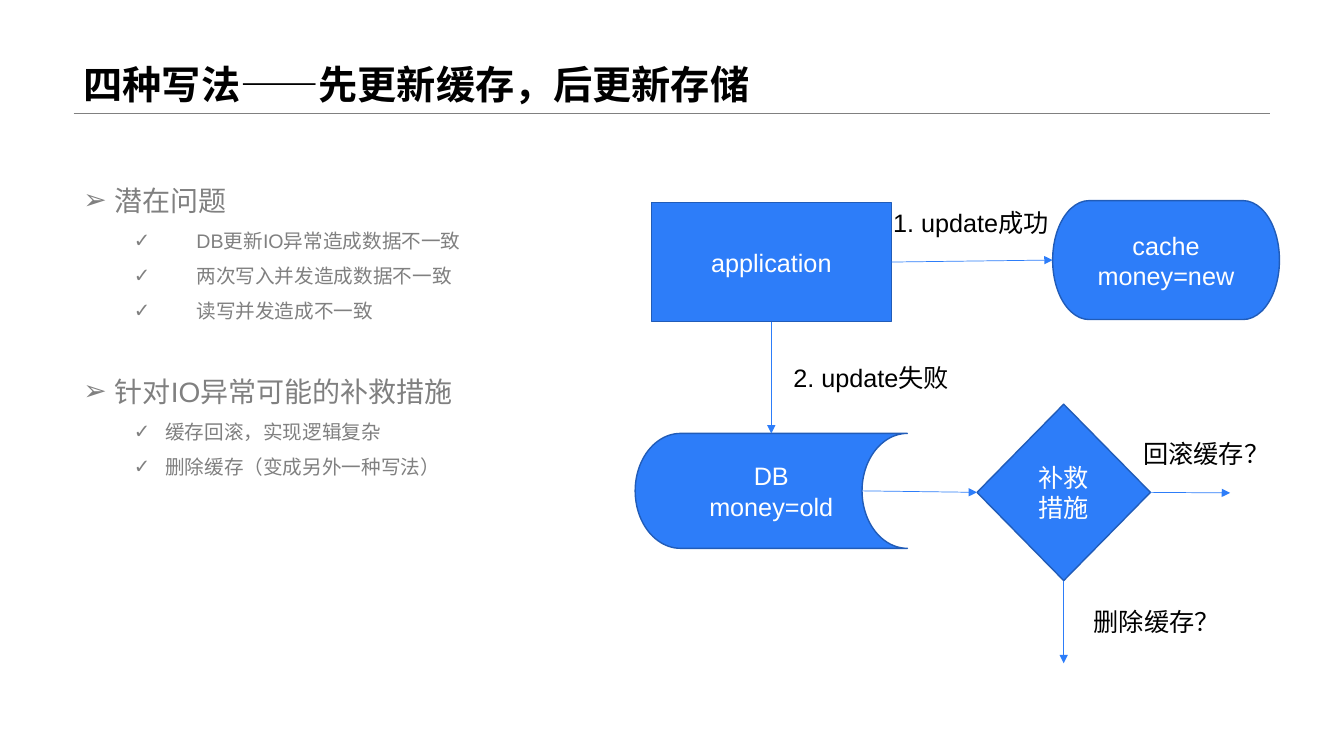
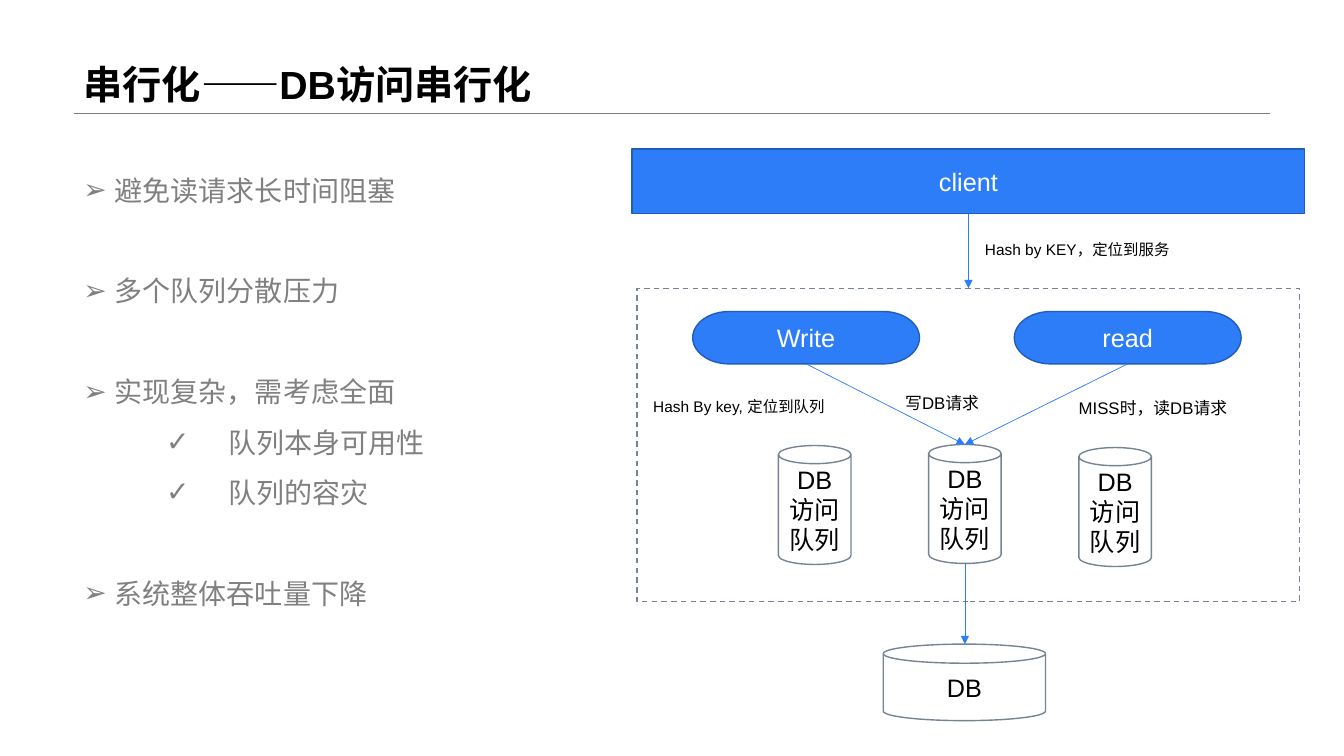
from dataclasses import dataclass
from typing import Any

from lxml.etree import SubElement
from pptx import Presentation
from pptx.dml.color import RGBColor
from pptx.enum.dml import MSO_LINE
from pptx.enum.shapes import MSO_CONNECTOR, MSO_SHAPE
from pptx.enum.text import MSO_ANCHOR, PP_ALIGN
from pptx.oxml.ns import qn
from pptx.util import Inches, Pt

FONT = "Arial"
BLACK, WHITE, GRAY = "000000", "FFFFFF", "808080"
BLUE, DARK_BLUE, SLATE = "2D7DF9", "215CB8", "768394"
TOP, LEFT, BOTTOM, RIGHT = range(4)
MARGIN, CONTENT_WIDTH, TITLE_HEIGHT = 0.73, 11.87, 1.12
LINE_SPACING = 1.5


def color(hex_value):
    """Turn a hex string into a colour."""
    return RGBColor.from_string(hex_value)


def add_run(paragraph, text, size, hex_value, bold=False):
    """Add one formatted run to a paragraph."""
    run = paragraph.add_run()
    run.text = text
    run.font.name = FONT
    run.font.size = Pt(size)
    run.font.bold = bold
    run.font.color.rgb = color(hex_value)


def add_line(slide, start, end, hex_value, width):
    """Draw a straight line without a shadow."""
    points = [Inches(value) for value in (*start, *end)]
    line = slide.shapes.add_connector(MSO_CONNECTOR.STRAIGHT, *points)
    line.line.color.rgb = color(hex_value)
    line.line.width = Pt(width)
    SubElement(line._element.spPr, qn("a:effectLst"))
    return line


def add_titled_slide(presentation, text):
    """Add a slide with the shared title and the rule below it."""
    slide = presentation.slides.add_slide(presentation.slide_layouts[5])
    add_line(slide, (MARGIN, TITLE_HEIGHT),
             (MARGIN + CONTENT_WIDTH, TITLE_HEIGHT), GRAY, 0.25)
    title = slide.shapes.title
    title.left, title.top = Inches(MARGIN), Inches(0)
    title.width, title.height = Inches(CONTENT_WIDTH), Inches(TITLE_HEIGHT)
    frame = title.text_frame
    frame.word_wrap = True
    frame.vertical_anchor = MSO_ANCHOR.BOTTOM
    paragraph = frame.paragraphs[0]
    paragraph.alignment = PP_ALIGN.LEFT
    paragraph.line_spacing = 0.9
    add_run(paragraph, text, 28, BLACK, bold=True)
    return slide


@dataclass
class Bullet:
    """One list entry with its own indent and gap."""
    text: str
    size: int = 20
    level: int = 0
    margin: float = 0.31
    hanging: float = 0.31
    gap: int = 0


def add_bullets(slide, box, bullets):
    """Fill a box with a two-level bulleted list."""
    text_box = slide.shapes.add_textbox(*[Inches(value) for value in box])
    frame = text_box.text_frame
    frame.word_wrap = True
    frame.margin_top = 0
    for index, bullet in enumerate(bullets):
        paragraph = frame.add_paragraph() if index else frame.paragraphs[0]
        paragraph.level = bullet.level
        paragraph.line_spacing = LINE_SPACING
        paragraph.space_before = Pt(bullet.gap)
        add_run(paragraph, bullet.text, bullet.size, GRAY)
        properties = paragraph._p.get_or_add_pPr()
        properties.set("marL", str(Inches(bullet.margin)))
        properties.set("indent", str(-Inches(bullet.hanging)))
        SubElement(properties, qn("a:buFont"), typeface=FONT)
        SubElement(properties, qn("a:buChar"), char="➢✓"[bullet.level])


@dataclass
class Diagram:
    """A drawing region whose parts are placed from its top left corner."""
    slide: Any
    left: float
    top: float

    def place(self, x, y):
        """Shift a point from the region to the slide."""
        return self.left + x, self.top + y

    def node(self, kind, box, *lines, fill=BLUE, outline=DARK_BLUE, ink=WHITE):
        """Add a shape with centred lines of text."""
        x, y, width, height = box
        lengths = [Inches(value) for value in (*self.place(x, y), width, height)]
        shape = self.slide.shapes.add_shape(kind, *lengths)
        shape.shadow.inherit = False
        shape.fill.solid()
        shape.fill.fore_color.rgb = color(fill)
        shape.line.color.rgb = color(outline)
        shape.line.width = Pt(1)
        frame = shape.text_frame
        frame.word_wrap = True
        frame.vertical_anchor = MSO_ANCHOR.MIDDLE
        for index, text in enumerate(lines):
            paragraph = frame.add_paragraph() if index else frame.paragraphs[0]
            paragraph.alignment = PP_ALIGN.CENTER
            add_run(paragraph, text, 18, ink)
        return shape

    def store(self, box, text):
        """Add a white cylinder."""
        return self.node(MSO_SHAPE.CAN, box, text,
                         fill=WHITE, outline=SLATE, ink=BLACK)

    def label(self, x, y, width, text, size=18):
        """Add a wrapped label."""
        lengths = [Inches(value) for value in (*self.place(x, y), width, 0.4)]
        frame = self.slide.shapes.add_textbox(*lengths).text_frame
        frame.word_wrap = True
        add_run(frame.paragraphs[0], text, size, BLACK)

    def arrow(self, start, end, source=None, target=None):
        """Draw an arrow, glued to a (shape, side) pair where one is given."""
        line = add_line(self.slide, self.place(*start), self.place(*end), BLUE, 0.5)
        if source:
            line.begin_connect(*source)
        if target:
            line.end_connect(*target)
        SubElement(line.line._get_or_add_ln(), qn("a:tailEnd"), type="triangle")


def draw_update_flow(slide, left, top):
    """Draw the cache update followed by the failed storage update."""
    diagram = Diagram(slide, left, top)
    application = diagram.node(MSO_SHAPE.RECTANGLE, (0.16, 0.02, 2.38, 1.18),
                               "application")
    database = diagram.node(MSO_SHAPE.FLOWCHART_STORED_DATA,
                            (0, 2.31, 2.7, 1.14), "DB", "money=old")
    cache = diagram.node(MSO_SHAPE.FLOWCHART_TERMINATOR,
                         (4.14, 0, 2.25, 1.18), "cache", "money=new")
    remedy = diagram.node(MSO_SHAPE.FLOWCHART_DECISION,
                          (3.39, 2.02, 1.72, 1.75), "补救措施")
    diagram.arrow((2.54, 0.61), (4.14, 0.6), (application, RIGHT), (cache, LEFT))
    diagram.arrow((1.35, 1.2), (1.35, 2.31), (application, BOTTOM), (database, TOP))
    diagram.arrow((2.25, 2.88), (3.39, 2.89), target=(remedy, LEFT))
    diagram.arrow((5.11, 2.89), (5.9, 2.9), source=(remedy, RIGHT))
    diagram.arrow((4.25, 3.77), (4.25, 4.59), source=(remedy, BOTTOM))
    diagram.label(2.46, 0.02, 1.74, "1. update成功")
    diagram.label(1.47, 1.56, 1.74, "2. update失败")
    diagram.label(4.94, 2.31, 1.5, "回滚缓存？")
    diagram.label(4.45, 3.98, 1.5, "删除缓存？")


def draw_queue_flow(slide, left, top):
    """Draw the client, the hashed queues and the database."""
    diagram = Diagram(slide, left, top)
    service = diagram.node(MSO_SHAPE.RECTANGLE, (0.05, 1.38, 6.57, 3.11),
                           fill=WHITE, outline=SLATE)
    service.line.dash_style = MSO_LINE.DASH
    client = diagram.node(MSO_SHAPE.RECTANGLE, (0, 0, 6.67, 0.64), "client")
    diagram.arrow((3.33, 0.64), (3.33, 1.38), (client, BOTTOM), (service, TOP))
    for index, y in enumerate((2.94, 2.93, 2.96)):
        diagram.store((1.45 + 1.49 * index, y, 0.72, 1.18), "DB访问队列")
    diagram.store((2.49, 4.91, 1.61, 0.76), "DB")
    for x, text in ((0.6, "Write"), (3.79, "read")):
        request = diagram.node(MSO_SHAPE.FLOWCHART_TERMINATOR,
                               (x, 1.61, 2.25, 0.52), text)
        diagram.arrow((x, 2.13), (3.3, 2.93), source=(request, BOTTOM))
    diagram.arrow((3.3, 4.11), (3.3, 4.91))
    diagram.label(2.61, 2.37, 0.94, "写DB请求", 12)
    diagram.label(4.33, 2.42, 1.69, "MISS时，读DB请求", 12)
    diagram.label(0.11, 2.41, 1.92, "Hash By key, 定位到队列", 11)
    diagram.label(3.4, 0.85, 2.05, "Hash by KEY，定位到服务", 11)


def build_cache_slide(presentation):
    """Build the slide on updating the cache before the storage."""
    slide = add_titled_slide(presentation, "四种写法——先更新缓存，后更新存储")
    problems = ("DB更新IO异常造成数据不一致", "两次写入并发造成数据不一致", "读写并发造成不一致")
    remedies = ("缓存回滚，实现逻辑复杂", "删除缓存（变成另外一种写法）")
    draw_update_flow(slide, 6.3, 1.99)
    add_bullets(slide, (MARGIN, 1.65, 5.37, 4.41), [
        Bullet("潜在问题"),
        *[Bullet(text, 14, 1, 1.12, 0.62) for text in problems],
        Bullet("针对IO异常可能的补救措施", gap=25),
        *[Bullet(text, 14, 1, 0.81, 0.31) for text in remedies],
    ])


def build_queue_slide(presentation):
    """Build the slide on serialised database access."""
    slide = add_titled_slide(presentation, "串行化——DB访问串行化")
    add_bullets(slide, (MARGIN, 1.55, 5.37, 4.41), [
        Bullet("避免读请求长时间阻塞"),
        Bullet("多个队列分散压力", gap=36),
        Bullet("实现复杂，需考虑全面", gap=36),
        *[Bullet(text, 20, 1, 1.44, 0.62) for text in ("队列本身可用性", "队列的容灾")],
        Bullet("系统整体吞吐量下降", gap=36),
    ])
    draw_queue_flow(slide, 6.27, 1.48)


def main():
    """Build and save the presentation."""
    presentation = Presentation()
    presentation.slide_width = Inches(13.33)
    presentation.slide_height = Inches(7.5)
    build_cache_slide(presentation)
    build_queue_slide(presentation)
    presentation.save("out.pptx")


if __name__ == "__main__":
    main()
